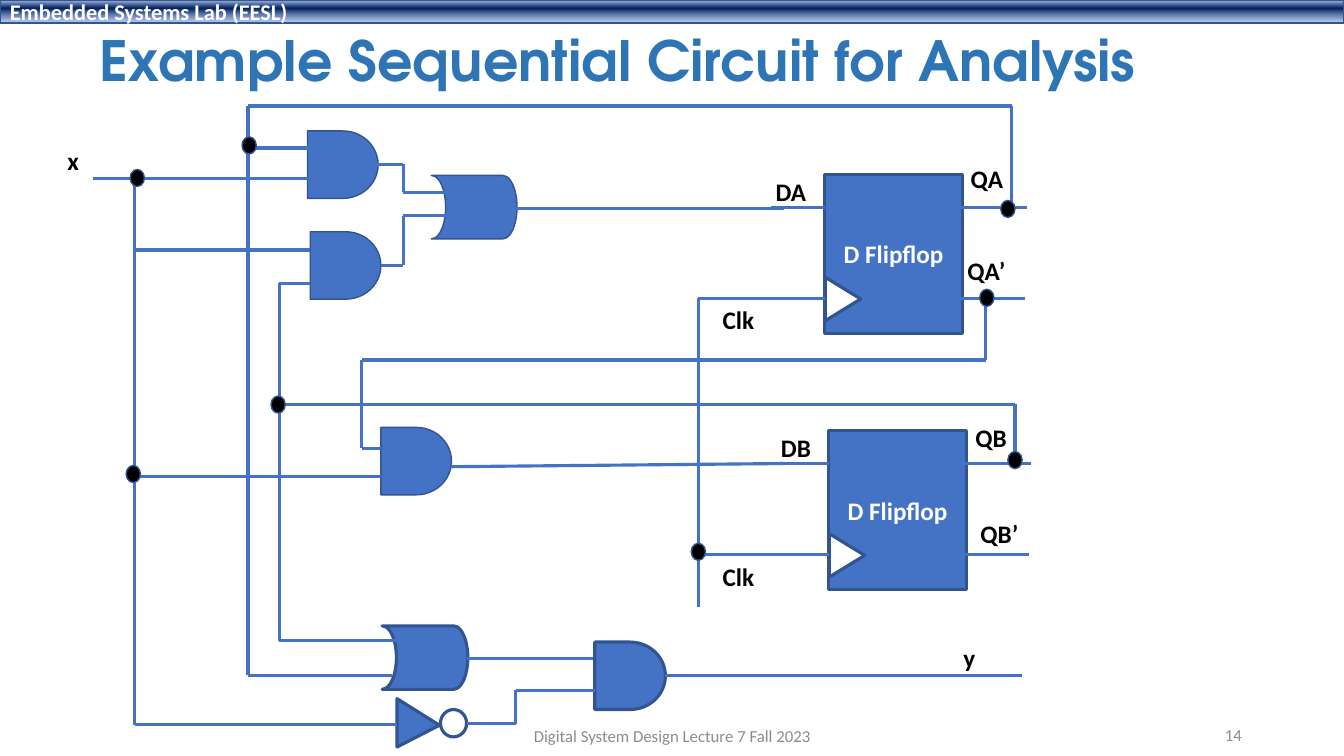
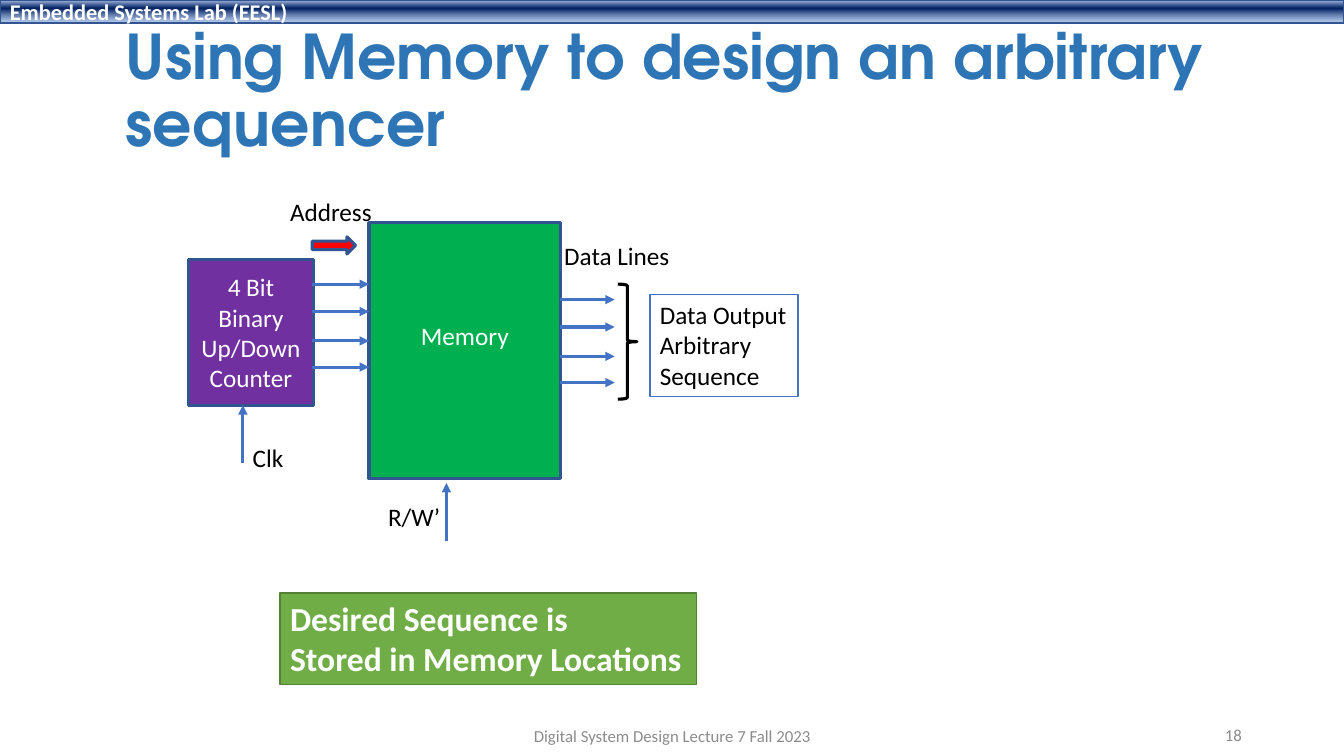
"""Build two digital design slides: a sequential circuit and a memory sequencer."""
from itertools import pairwise

from pptx import Presentation
from pptx.dml.color import RGBColor
from pptx.enum.shapes import MSO_CONNECTOR, MSO_SHAPE as SHAPE
from pptx.enum.text import MSO_ANCHOR as ANCHOR, MSO_AUTO_SIZE as AUTO, PP_ALIGN as ALIGN
from pptx.oxml import parse_xml
from pptx.oxml.ns import nsdecls, qn
from pptx.oxml.xmlchemy import OxmlElement
from pptx.util import Cm, Pt

BLUE, EDGE, WHITE, BLACK = "4472C4", "325491", "FFFFFF", "000000"
BODY = {"name": "Calibri", "size": Pt(18), "bold": False}
BOLD = {**BODY, "bold": True}
SMALL = {**BODY, "size": Pt(12)}
MIDDLE = {"word_wrap": True, "vertical_anchor": ANCHOR.MIDDLE}
HUG = {"word_wrap": False, "vertical_anchor": ANCHOR.TOP, "auto_size": AUTO.SHAPE_TO_FIT_TEXT}


def add_box(slide, kind, at, fill=None, line=None, weight=1, text="",
            font=BODY, color=WHITE, align=ALIGN.LEFT, frame=MIDDLE):
    """Add a preset shape, or a text box when kind is None."""
    place = [Cm(value) for value in at]
    if kind is None:
        box = slide.shapes.add_textbox(*place)
    else:
        box = slide.shapes.add_shape(kind, *place)
        box.shadow.inherit = False
        if fill:
            box.fill.solid()
            box.fill.fore_color.rgb = RGBColor.from_string(fill)
        else:
            box.fill.background()
        box.line.color.rgb = RGBColor.from_string(line)
        box.line.width = Pt(weight)
    if text:
        for name, value in frame.items():
            setattr(box.text_frame, name, value)
        box.text_frame.text = text
        for paragraph in box.text_frame.paragraphs:
            paragraph.alignment = align
            for name, value in font.items():
                setattr(paragraph.font, name, value)
            paragraph.font.color.rgb = RGBColor.from_string(color)
    return box


def add_wire(slide, *points, arrow=False):
    """Join the points with straight connectors."""
    for start, end in pairwise(points):
        ends = [Cm(value) for value in (*start, *end)]
        wire = slide.shapes.add_connector(MSO_CONNECTOR.STRAIGHT, *ends)
        wire.line.color.rgb = RGBColor.from_string(BLUE)
        wire.line.width = Pt(2.25)
        if arrow:
            head = OxmlElement("a:tailEnd")
            head.set("type", "triangle")
            wire.line._get_or_add_ln().append(head)
        wire._element.spPr.append(OxmlElement("a:effectLst"))


deck = Presentation()
deck.slide_width, deck.slide_height = Cm(33.87), Cm(19.05)

slides = []
for heading, at, size, number in [
    ("Example Sequential Circuit for Analysis", (2.26, 0.74, 29.21, 1.7), 39.6, "14"),
    ("Using Memory to design an arbitrary sequencer", (2.92, 0.51, 28.52, 3.68), 44, "18"),
]:
    slide = deck.slides.add_slide(deck.slide_layouts[6])
    band = add_box(slide, SHAPE.RECTANGLE, (0, 0, 33.87, 0.58), None, EDGE,
                   text="Embedded Systems Lab (EESL)", font={**BOLD, "size": Pt(16)})
    properties = band._element.spPr
    properties.replace(properties.find(qn("a:noFill")), parse_xml(
        f'<a:gradFill {nsdecls("a")} rotWithShape="1"><a:gsLst>'
        '<a:gs pos="2000"><a:srgbClr val="ABC0E4"/></a:gs>'
        '<a:gs pos="38000"><a:srgbClr val="002060"/></a:gs>'
        '<a:gs pos="93000"><a:srgbClr val="7E9ED6"><a:alpha val="64000"/></a:srgbClr></a:gs>'
        '</a:gsLst><a:lin ang="5400000" scaled="0"/></a:gradFill>'))
    title = add_box(slide, None, at, text=heading, color="2E75B6",
                    font={"name": "TeX Gyre Adventor", "size": Pt(size), "bold": True})
    title.text_frame.paragraphs[0].line_spacing = 0.9
    add_box(slide, None, (23.93, 18.01, 7.62, 1.02), text=number,
            font=SMALL, color="8C8C8C", align=ALIGN.RIGHT)
    add_box(slide, None, (11.23, 18.03, 11.43, 1.02), font=SMALL, color="8C8C8C",
            text="Digital System Design Lecture 7 Fall 2023", align=ALIGN.CENTER)
    slides.append(slide)
circuit, sequencer = slides

for x, y in [(20.78, 4.39), (20.88, 10.85)]:
    add_box(circuit, SHAPE.RECTANGLE, (x, y, 3.48, 4.01), BLUE, EDGE, 2.25,
            "D Flipflop", BOLD, align=ALIGN.CENTER)
    clock_input = add_box(circuit, SHAPE.ISOSCELES_TRIANGLE, (x - 0.08, y + 2.7, 1.09, 0.89),
                          WHITE, EDGE, 2.25)
    clock_input.rotation = 90
    for left, right, down in [(-1.35, 0, 0.84), (-1.35, 0, 3.13),
                              (3.45, 5.1, 0.84), (3.45, 5.05, 3.13)]:
        add_wire(circuit, (x + left, y + down), (x + right, y + down))

for x, y, weight in [(7.75, 3.3, 1), (7.82, 5.84, 1), (9.6, 10.77, 1), (14.99, 16.18, 2.25)]:
    add_box(circuit, SHAPE.FLOWCHART_DELAY, (x, y, 1.78, 1.7), BLUE, EDGE, weight)
for x, y, weight in [(10.87, 4.42, 1), (9.63, 15.77, 2.25)]:
    or_gate = add_box(circuit, SHAPE.FLOWCHART_STORED_DATA, (x, y, 2.16, 1.6), BLUE, EDGE, weight)
    or_gate.rotation = 180
inverter = add_box(circuit, SHAPE.ISOSCELES_TRIANGLE, (9.93, 17.68, 1.22, 1.07), BLUE, EDGE, 2.25)
inverter.rotation = 90
inverter.adjustments[0] = 0.55
add_box(circuit, SHAPE.OVAL, (11.1, 17.88, 0.66, 0.69), None, EDGE, 2.25)

for route in [
    [(19.43, 7.52), (17.6, 7.52), (17.6, 15.29)],
    [(19.58, 13.97), (17.65, 13.97)],
    [(19.76, 5.26), (13, 5.26)],
    [(11.23, 4.85), (10.16, 4.85), (10.16, 4.14), (9.5, 4.14)],
    [(11.23, 5.44), (10.16, 5.44), (10.16, 6.68), (9.6, 6.68)],
    [(19.76, 11.68), (11.38, 11.76)],
    [(24.84, 7.44), (24.84, 9.07), (9.12, 9.07), (9.12, 11.3), (9.6, 11.3)],
    [(25.5, 5.26), (25.5, 2.67), (6.25, 2.67), (6.25, 17.02), (9.88, 17.02)],
    [(6.25, 3.73), (7.82, 3.73)],
    [(7.75, 4.5), (2.34, 4.5)],
    [(3.4, 4.5), (3.4, 18.26), (10.01, 18.26)],
    [(3.4, 12.01), (9.6, 12.01)],
    [(3.4, 6.3), (7.82, 6.3)],
    [(7.82, 7.14), (7.04, 7.14), (7.04, 16.15), (10.01, 16.15)],
    [(25.58, 11.66), (25.58, 10.19), (7.04, 10.19)],
    [(11.76, 16.59), (14.94, 16.59)],
    [(11.76, 18.24), (13, 18.24), (13, 17.4), (14.99, 17.4)],
    [(16.76, 17.02), (25.76, 17.02)],
]:
    add_wire(circuit, *route)

for x, y in [(25.22, 5.05), (24.69, 7.29), (17.42, 13.69), (3.18, 11.73),
             (6.1, 3.45), (3.28, 4.27), (6.83, 9.98), (25.4, 11.38)]:
    add_box(circuit, SHAPE.OVAL, (x, y, 0.36, 0.43), BLACK, EDGE)

for slide, font, labels in [
    (circuit, BOLD, [
        ("x", 1.45, 3.53, 0.81), ("y", 24.03, 16.05, 0.81),
        ("Clk", 17.96, 7.54, 1.32), ("Clk", 17.96, 14.02, 1.32),
        ("DA", 19.3, 4.32, 1.3), ("DB", 19.43, 10.77, 1.27),
        ("QA", 24.21, 3.99, 1.35), ("QB", 24.33, 10.52, 1.32),
        ("QA’", 24.13, 6.3, 1.47), ("QB’", 24.46, 12.93, 1.47)]),
    (sequencer, BODY, [
        ("Address", 7.06, 4.83, 2.59), ("Data Lines", 13.97, 5.92, 3.2),
        ("Clk", 6.12, 11.02, 1.3), ("R/W’", 9.53, 12.52, 1.85)]),
]:
    for text, x, y, width in labels:
        add_box(slide, None, (x, y, width, 1.02), text=text, font=font, color=BLACK, frame=HUG)

memory = add_box(sequencer, SHAPE.RECTANGLE, (9.3, 5.61, 4.83, 6.45), "00B050", EDGE, 2.25,
                 "Memory", align=ALIGN.CENTER)
memory.text_frame.margin_bottom = Cm(0.9)
add_box(sequencer, SHAPE.RECTANGLE, (4.75, 6.53, 3.15, 3.68), "7030A0", EDGE, 2.25,
        "4 Bit\nBinary\nUp/Down\nCounter", align=ALIGN.CENTER)
for y in (7.16, 7.85, 8.59, 9.25):
    add_wire(sequencer, (7.87, y), (9.3, y), arrow=True)
    add_wire(sequencer, (14.1, y + 0.39), (15.49, y + 0.39), arrow=True)
add_wire(sequencer, (11.25, 13.64), (11.25, 12.17), arrow=True)
add_wire(sequencer, (6.12, 11.66), (6.12, 10.21), arrow=True)
add_box(sequencer, SHAPE.RIGHT_ARROW, (7.87, 5.97, 1.09, 0.43), "FF0000", EDGE, 2.25)
add_box(sequencer, SHAPE.RIGHT_BRACE, (15.57, 7.16, 0.48, 2.9), None, BLACK, 2.25)
add_box(sequencer, SHAPE.RECTANGLE, (16.38, 7.42, 3.73, 2.57), WHITE, BLUE, 1,
        "Data Output\nArbitrary\nSequence", color=BLACK, frame=HUG)
add_box(sequencer, SHAPE.RECTANGLE, (7.06, 14.94, 10.49, 2.31), "70AD47", "538035", 1,
        "Desired Sequence is\nStored in Memory Locations", {**BOLD, "size": Pt(24)}, frame=HUG)

deck.save("out.pptx")
